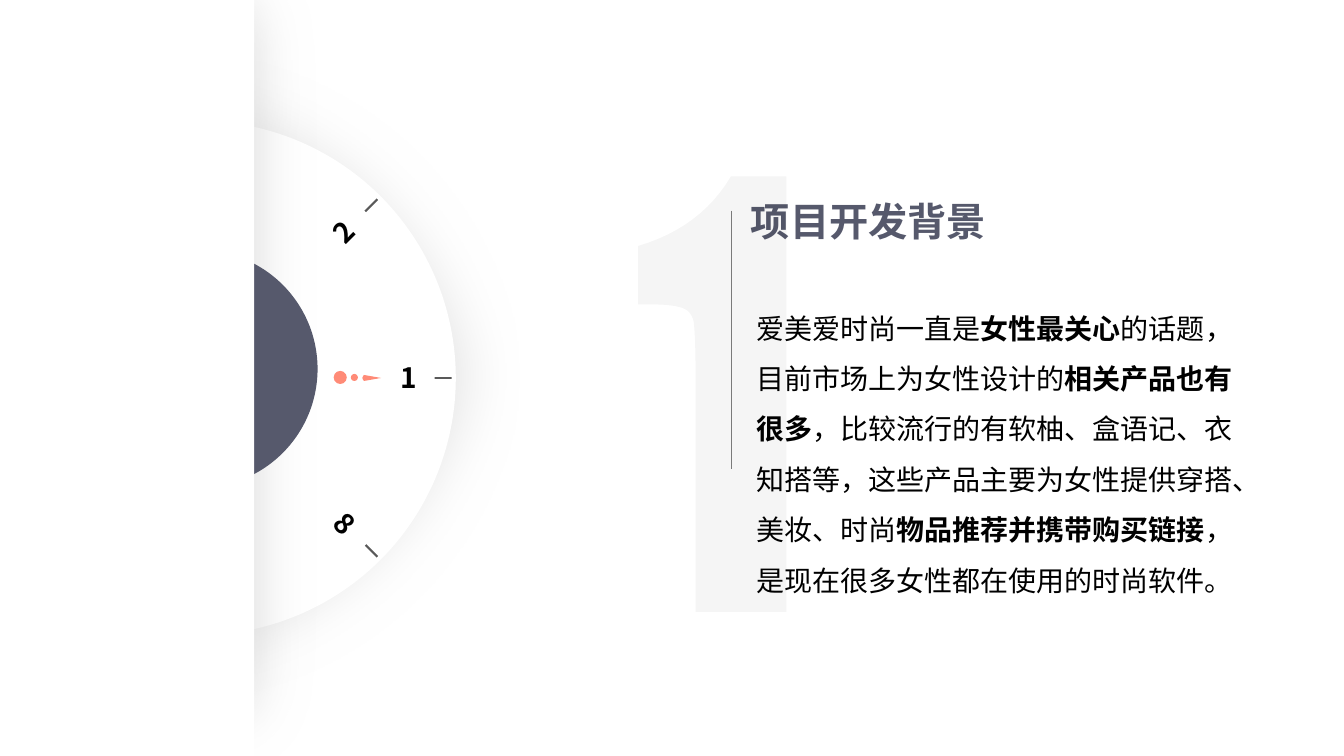
"""Build the project background slide with its numbered dial."""
from lxml import etree
from pptx import Presentation
from pptx.dml.color import RGBColor
from pptx.enum.shapes import MSO_CONNECTOR, MSO_SHAPE
from pptx.enum.text import MSO_AUTO_SIZE, PP_ALIGN
from pptx.oxml.ns import qn
from pptx.util import Inches, Pt

OVAL, RECT = MSO_SHAPE.OVAL, MSO_SHAPE.RECTANGLE
STRAIGHT = MSO_CONNECTOR.STRAIGHT
GROW = MSO_AUTO_SIZE.SHAPE_TO_FIT_TEXT
LEFT, CENTER = PP_ALIGN.LEFT, PP_ALIGN.CENTER
WHITE = RGBColor(0xFF, 0xFF, 0xFF)
BLACK = RGBColor(0, 0, 0)
SHADE = RGBColor(0xD9, 0xD9, 0xD9)
DARK = RGBColor(0x59, 0x59, 0x59)
GRAY = RGBColor(0x80, 0x80, 0x80)
SLATE = RGBColor(0x56, 0x59, 0x6C)
CORAL = RGBColor(0xFF, 0x8B, 0x77)
NOTO = "Noto Sans CJK SC"

deck = Presentation()
deck.slide_width, deck.slide_height = Inches(13.33), Inches(7.5)
slide = deck.slides.add_slide(deck.slide_layouts[6])
shapes = slide.shapes


def draw(kind, box, fill=None, line=None, width=1, soft=0):
    shape = shapes.add_shape(kind, *map(Inches, box))
    shape.shadow.inherit = False
    if fill is None:
        shape.fill.background()
    else:
        shape.fill.solid()
        shape.fill.fore_color.rgb = fill
    if line is None:
        shape.line.fill.background()
    else:
        shape.line.color.rgb = line
        shape.line.width = Pt(width)
    if soft:
        effects = shape._element.spPr.find(qn("a:effectLst"))
        etree.SubElement(effects, qn("a:softEdge"), rad=str(Pt(soft)))


def write(box, runs, size, color, font=NOTO, align=LEFT, space=1, wrap=True, turn=0):
    label = shapes.add_textbox(*map(Inches, box))
    label.rotation = turn
    frame = label.text_frame
    frame.word_wrap = wrap
    frame.auto_size = GROW
    para = frame.paragraphs[0]
    para.alignment = align
    para.line_spacing = space
    for text, bold in runs:
        run = para.add_run()
        run.text = text
        run.font.name = font
        run.font.size = Pt(size)
        run.font.bold = bold
        run.font.color.rgb = color
        etree.SubElement(run._r.get_or_add_rPr(), qn("a:ea"), typeface=NOTO)


dial = (-0.56, 1.22, 5.06, 5.06)
draw(OVAL, (-1.27, 0.42, 6.56, 6.62), SHADE, soft=50)
draw(OVAL, dial, WHITE, DARK)

lines = [
    (0.18, 1.96, 3.76, 5.54, DARK, 1.5),
    (3.76, 1.96, 0.18, 5.54, DARK, 1.5),
    (-0.56, 3.75, 4.5, 3.75, DARK, 1.5),
    (7.25, 2.09, 7.25, 4.65, GRAY, 0.5),
]
for *ends, color, width in lines:
    line = shapes.add_connector(STRAIGHT, *map(Inches, ends))
    line.line.color.rgb = color
    line.line.width = Pt(width)
    etree.SubElement(line._element.spPr, qn("a:effectLst"))

draw(OVAL, (-0.36, 1.42, 4.67, 4.67), WHITE)
draw(OVAL, dial, line=WHITE, width=3)

for digit, left, top, turn in [("1", 3.87, 3.53, 0), ("2", 3.23, 2.09, 315), ("8", 3.24, 4.97, 45)]:
    write((left, top, 0.35, 0.44), [(digit, True)], 20, BLACK,
          align=CENTER, wrap=False, turn=turn)

for left, top, size in [(3.31, 3.68, 0.13), (3.48, 3.71, 0.07)]:
    draw(OVAL, (left, top, size, size), CORAL)

draw(RECT, (1, -0.92, 2.4, 8.93), SHADE, soft=50)

write((7.35, 1.91, 4.33, 0.68), [("项目开发背景", True)], 28, SLATE, font="Arial")
story = [
    ("爱美爱时尚一直是", False),
    ("女性最关心", True),
    ("的话题，目前市场上为女性设计的", False),
    ("相关产品也有很多", True),
    ("，比较流行的有软柚、盒语记、衣知搭等，这些产品主要为女性提供穿搭、美妆、时尚", False),
    ("物品推荐并携带购买链接", True),
    ("，是现在很多女性都在使用的时尚软件。", False),
]
write((7.4, 2.87, 5.19, 3.14), story, 20, BLACK, space=1.5)

draw(OVAL, (0.79, 2.48, 2.36, 2.36), SLATE)

tip = [(3.61, 3.78), (3.78, 3.75), (3.61, 3.72),
       (3.59, 3.75, 3.59, 3.75, 3.61, 3.78)]
one = [(7.25, 1.75), (7.8, 1.75), (7.8, 6.07), (6.9, 6.07), (6.9, 3.76),
       (6.9, 3.44, 6.89, 3.25, 6.88, 3.19),
       (6.87, 3.14, 6.84, 3.09, 6.8, 3.07),
       (6.75, 3.04, 6.64, 3.02, 6.46, 3.02),
       (6.33, 3.02), (6.33, 2.44),
       (6.74, 2.32, 7.05, 2.09, 7.25, 1.75)]
for outline, color, alpha in [(tip, CORAL, 100), (one, BLACK, 4)]:
    points = [outline[0]]
    for step in outline[1:]:
        if len(step) == 2:
            points.append(step)
            continue
        curve = [points[-1], step[:2], step[2:4], step[4:]]
        for part in range(1, 13):
            t = part / 12
            shares = ((1 - t) ** 3, 3 * t * (1 - t) ** 2, 3 * t * t * (1 - t), t ** 3)
            points.append([sum(s * p[axis] for s, p in zip(shares, curve)) for axis in (0, 1)])
    spots = [(Inches(x), Inches(y)) for x, y in points]
    pen = shapes.build_freeform(*spots[0], scale=1.0)
    pen.add_line_segments(spots[1:], close=True)
    form = pen.convert_to_shape()
    form.shadow.inherit = False
    form.line.fill.background()
    form.fill.solid()
    form.fill.fore_color.rgb = color
    if alpha < 100:
        tint = form._element.spPr.find(qn("a:solidFill"))[0]
        etree.SubElement(tint, qn("a:alpha"), val=str(alpha * 1000))

draw(RECT, (-0.36, -0.23, 2.88, 7.92), WHITE)

deck.save("out.pptx")
